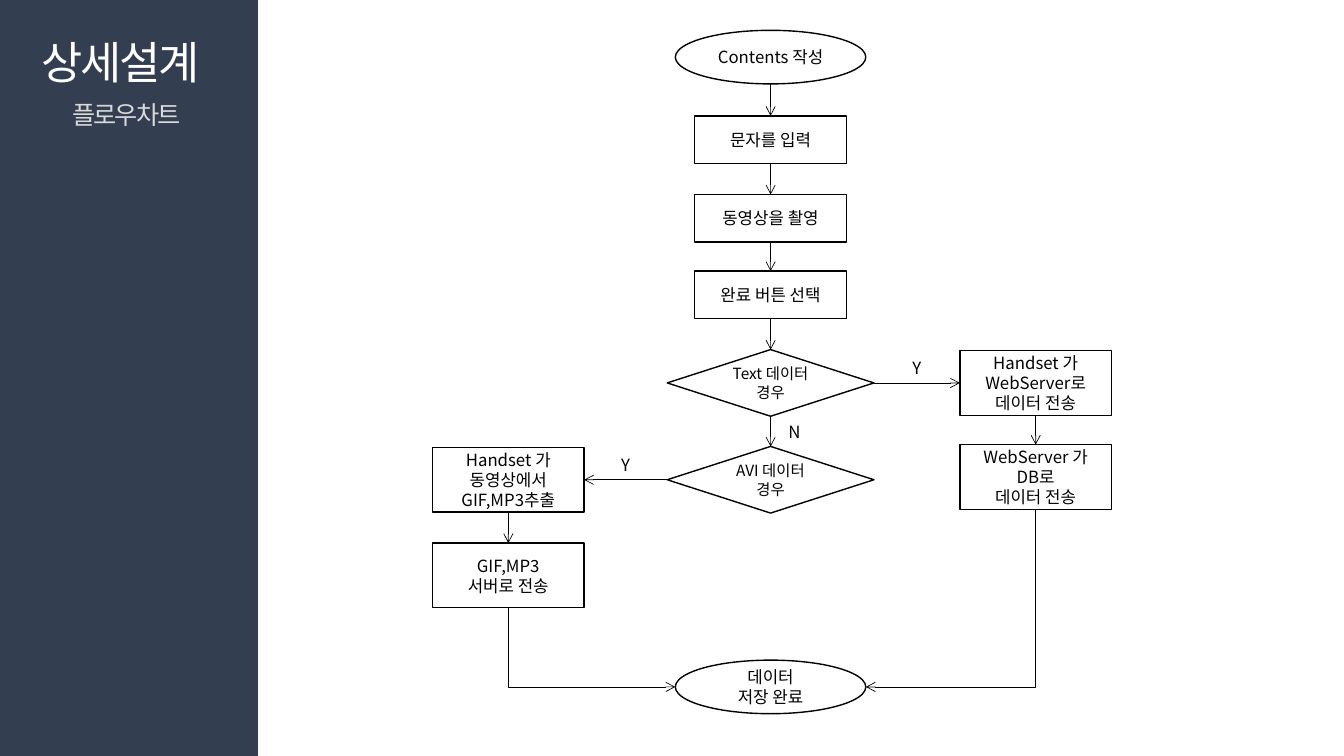
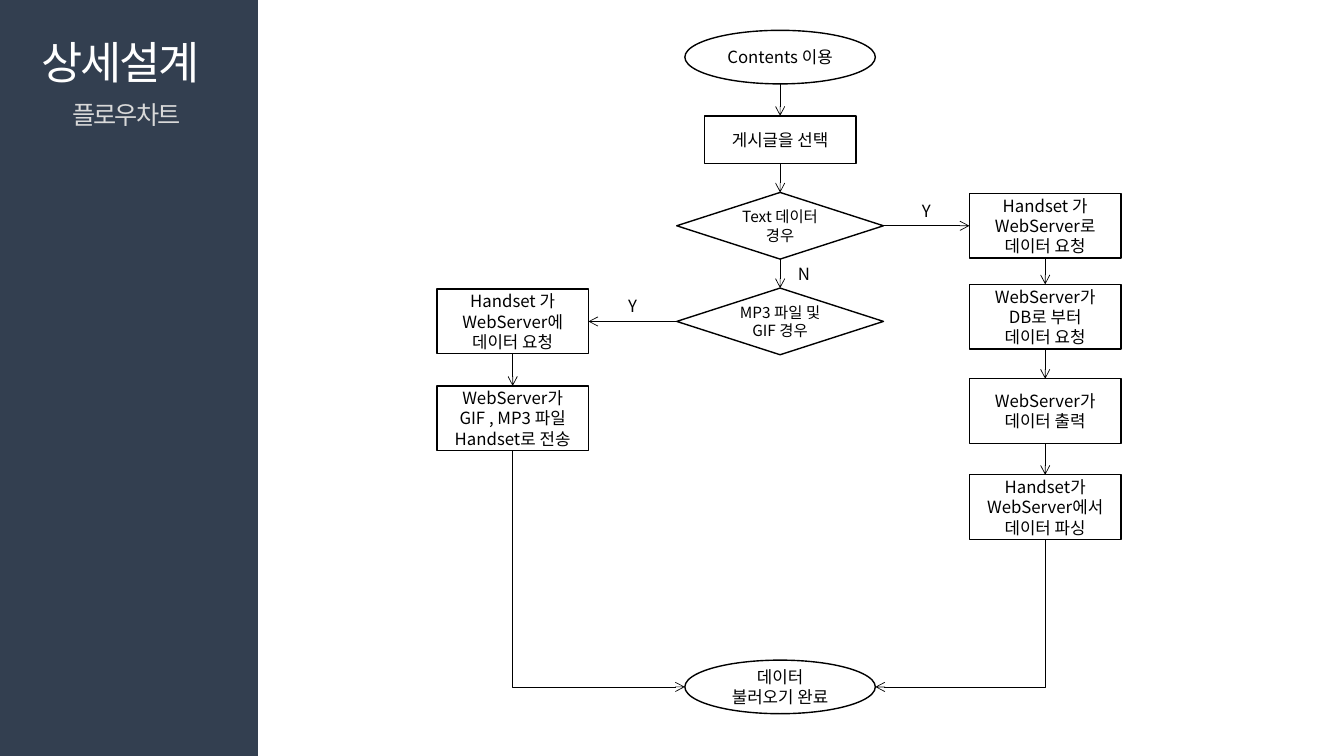
from lxml.etree import SubElement
from pptx import Presentation
from pptx.dml.color import RGBColor
from pptx.enum.shapes import MSO_CONNECTOR as Connector, MSO_SHAPE as Preset
from pptx.enum.text import MSO_ANCHOR as Anchor, PP_ALIGN as Align
from pptx.oxml.ns import qn
from pptx.util import Cm, Pt

FONT = "Noto Sans CJK KR"
NAVY, WHITE, BLACK, GREY = "333F50", "FFFFFF", "000000", "D9D9D9"
TITLE, SUBTITLE = "상세설계", "플로우차트"

# kind: preset, width, height (cm), text size
KINDS = {
    "terminal": (Preset.OVAL, 4.8, 1.35, 12),
    "step": (Preset.RECTANGLE, 3.82, 1.2, 12),
    "action": (Preset.RECTANGLE, 3.82, 1.63, 12),
    "decision": (Preset.FLOWCHART_DECISION, 5.21, 1.68, 11),
}
# side: connection site, horizontal and vertical direction from the centre
SIDES = {"top": (0, 0, -1), "left": (1, -1, 0), "bottom": (2, 0, 1), "right": (3, 1, 0)}
OPPOSITE = {"top": "bottom", "bottom": "top", "left": "right", "right": "left"}
LABEL_WIDTH, LABEL_HEIGHT, LABEL_GAP = 0.8, 0.76, 0.2

# columns: centre x (cm); nodes: kind, column, centre y (cm), text
# arrows: start, side it leaves by, end, label; joins: start, end, side it enters by
FLOWCHARTS = [
    {
        "columns": {"left": 12.81, "middle": 19.42, "right": 26.1},
        "nodes": {
            "start": ("terminal", "middle", 1.44, "Contents 작성"),
            "type": ("step", "middle", 3.52, "문자를 입력"),
            "film": ("step", "middle", 5.5, "동영상을 촬영"),
            "finish": ("step", "middle", 7.43, "완료 버튼 선택"),
            "is text": ("decision", "middle", 9.65, "Text 데이터\n경우"),
            "is video": ("decision", "middle", 12.09, "AVI 데이터\n경우"),
            "send text": ("action", "right", 9.65, "Handset 가\nWebServer로\n데이터 전송"),
            "store text": ("action", "right", 12.02, "WebServer 가\nDB로\n데이터 전송"),
            "extract": ("action", "left", 12.09, "Handset 가\n동영상에서 GIF,MP3추출"),
            "upload": ("action", "left", 14.5, "GIF,MP3\n서버로 전송"),
            "end": ("terminal", "middle", 17.31, "데이터\n저장 완료"),
        },
        "arrows": [
            ("start", "bottom", "type", ""),
            ("type", "bottom", "film", ""),
            ("film", "bottom", "finish", ""),
            ("finish", "bottom", "is text", ""),
            ("is text", "right", "send text", "Y"),
            ("is text", "bottom", "is video", "N"),
            ("is video", "left", "extract", "Y"),
            ("extract", "bottom", "upload", ""),
            ("send text", "bottom", "store text", ""),
        ],
        "joins": [("upload", "end", "left"), ("store text", "end", "right")],
    },
    {
        "columns": {"left": 12.92, "middle": 19.66, "right": 26.34},
        "nodes": {
            "start": ("terminal", "middle", 1.44, "Contents 이용"),
            "select": ("step", "middle", 3.52, "게시글을 선택"),
            "is text": ("decision", "middle", 5.69, "Text 데이터\n경우"),
            "is media": ("decision", "middle", 8.1, "MP3 파일 및 GIF 경우"),
            "ask text": ("action", "right", 5.69, "Handset 가\nWebServer로\n데이터 요청"),
            "query": ("action", "right", 7.98, "WebServer가\nDB로 부터\n데이터 요청"),
            "output": ("action", "right", 10.36, "WebServer가\n데이터 출력"),
            "parse": ("action", "right", 12.78, "Handset가\nWebServer에서\n데이터 파싱"),
            "ask media": ("action", "left", 8.1, "Handset 가\nWebServer에\n데이터 요청"),
            "send media": ("action", "left", 10.54,
                           "WebServer가\nGIF , MP3 파일\nHandset로 전송"),
            "end": ("terminal", "middle", 17.31, "데이터\n불러오기 완료"),
        },
        "arrows": [
            ("start", "bottom", "select", ""),
            ("select", "bottom", "is text", ""),
            ("is text", "right", "ask text", "Y"),
            ("is text", "bottom", "is media", "N"),
            ("is media", "left", "ask media", "Y"),
            ("ask media", "bottom", "send media", ""),
            ("ask text", "bottom", "query", ""),
            ("query", "bottom", "output", ""),
            ("output", "bottom", "parse", ""),
        ],
        "joins": [("send media", "end", "left"), ("parse", "end", "right")],
    },
]


def color(hex_code):
    return RGBColor.from_string(hex_code)


def write(shape, text, size, hex_code, align=Align.CENTER, spacing=0):
    """Fill the shape with text; spacing is in hundredths of a point."""
    shape.text_frame.text = text
    for paragraph in shape.text_frame.paragraphs:
        paragraph.alignment = align
        font = paragraph.font
        font.size, font.name = Pt(size), FONT
        font.color.rgb = color(hex_code)
        properties = paragraph._p.pPr.find(qn("a:defRPr"))
        SubElement(properties, qn("a:ea"), typeface=FONT)
        if spacing:
            for run in paragraph.runs:
                run._r.get_or_add_rPr().set("spc", str(spacing))


def add_box(slide, preset, left, top, width, height, fill):
    shape = slide.shapes.add_shape(preset, Cm(left), Cm(top), Cm(width), Cm(height))
    shape.shadow.inherit = False
    shape.fill.solid()
    shape.fill.fore_color.rgb = color(fill)
    shape.line.fill.background()
    return shape


def add_text(slide, left, top, width, height, *style, wrap=True, **options):
    box = slide.shapes.add_textbox(Cm(left), Cm(top), Cm(width), Cm(height))
    box.text_frame.word_wrap = wrap
    write(box, *style, **options)


def add_sidebar(slide):
    add_box(slide, Preset.RECTANGLE, 0, 0, 6.5, 19.05, NAVY)
    add_text(slide, 0.79, 0.76, 19.1, 1.63, TITLE, 32, WHITE, align=Align.LEFT, spacing=-150)
    add_text(slide, 0.79, 2.39, 4.8, 1.02, SUBTITLE, 18, GREY, spacing=-150)


def add_node(slide, kind, x, y, text):
    preset, width, height, size = KINDS[kind]
    shape = add_box(slide, preset, x - width / 2, y - height / 2, width, height, WHITE)
    shape.line.color.rgb = color(BLACK)
    shape.line.width = Pt(1)
    shape.text_frame.word_wrap = True
    shape.text_frame.vertical_anchor = Anchor.MIDDLE
    write(shape, text, size, BLACK)
    return shape


def site_position(node, side):
    """Return the middle of a side of the node, in cm."""
    kind, x, y = node
    _, width, height, _ = KINDS[kind]
    _, across, down = SIDES[side]
    return x + across * width / 2, y + down * height / 2


def add_link(slide, connector_type, begin, end, arrow_end):
    """Glue a connector between two (node, shape, side) ends; the head is at arrow_end."""
    points = [site_position(node, side) for node, _, side in (begin, end)]
    connector = slide.shapes.add_connector(
        connector_type, *(Cm(value) for point in points for value in point))
    connector.line.color.rgb = color(BLACK)
    connector.line.width = Pt(0.5)
    element = connector._element
    SubElement(element.spPr.find(qn("a:ln")), qn(arrow_end), type="arrow")
    SubElement(element.spPr, qn("a:effectLst"))
    glue = element.find(".//" + qn("p:cNvCxnSpPr"))
    for tag, (node, shape, side) in (("a:stCxn", begin), ("a:endCxn", end)):
        # an oval has a site on each diagonal too
        site = SIDES[side][0] * (2 if node[0] == "terminal" else 1)
        SubElement(glue, qn(tag), id=str(shape.shape_id), idx=str(site))
    if connector_type == Connector.ELBOW:
        element.spPr.find(qn("a:prstGeom")).set("prst", "bentConnector2")
    return points


def add_label(slide, text, points):
    """Put the label above a horizontal arrow or to the right of a vertical one."""
    (x1, y1), (x2, y2) = points
    x, y = (x1 + x2) / 2, (y1 + y2) / 2
    if x1 == x2:
        left, top = x + LABEL_GAP, y - LABEL_HEIGHT / 2
    else:
        left, top = x - LABEL_WIDTH / 2, y - LABEL_HEIGHT
    add_text(slide, left, top, LABEL_WIDTH, LABEL_HEIGHT, text, 12, BLACK, wrap=False)


def add_flowchart(slide, columns, nodes, arrows, joins):
    placed = {}
    for name, (kind, column, y, text) in nodes.items():
        x = columns[column]
        placed[name] = ((kind, x, y), add_node(slide, kind, x, y, text))
    for start, side, end, label in arrows:
        points = add_link(slide, Connector.STRAIGHT, (*placed[start], side),
                          (*placed[end], OPPOSITE[side]), "a:tailEnd")
        if label:
            add_label(slide, label, points)
    # a two-part elbow runs across first, so it is drawn from its arrowhead back
    for start, end, side in joins:
        add_link(slide, Connector.ELBOW, (*placed[end], side),
                 (*placed[start], "bottom"), "a:headEnd")


def main():
    presentation = Presentation()
    presentation.slide_width, presentation.slide_height = Cm(33.87), Cm(19.05)
    for flowchart in FLOWCHARTS:
        slide = presentation.slides.add_slide(presentation.slide_layouts[6])
        add_sidebar(slide)
        add_flowchart(slide, **flowchart)
    presentation.save("out.pptx")


if __name__ == "__main__":
    main()
